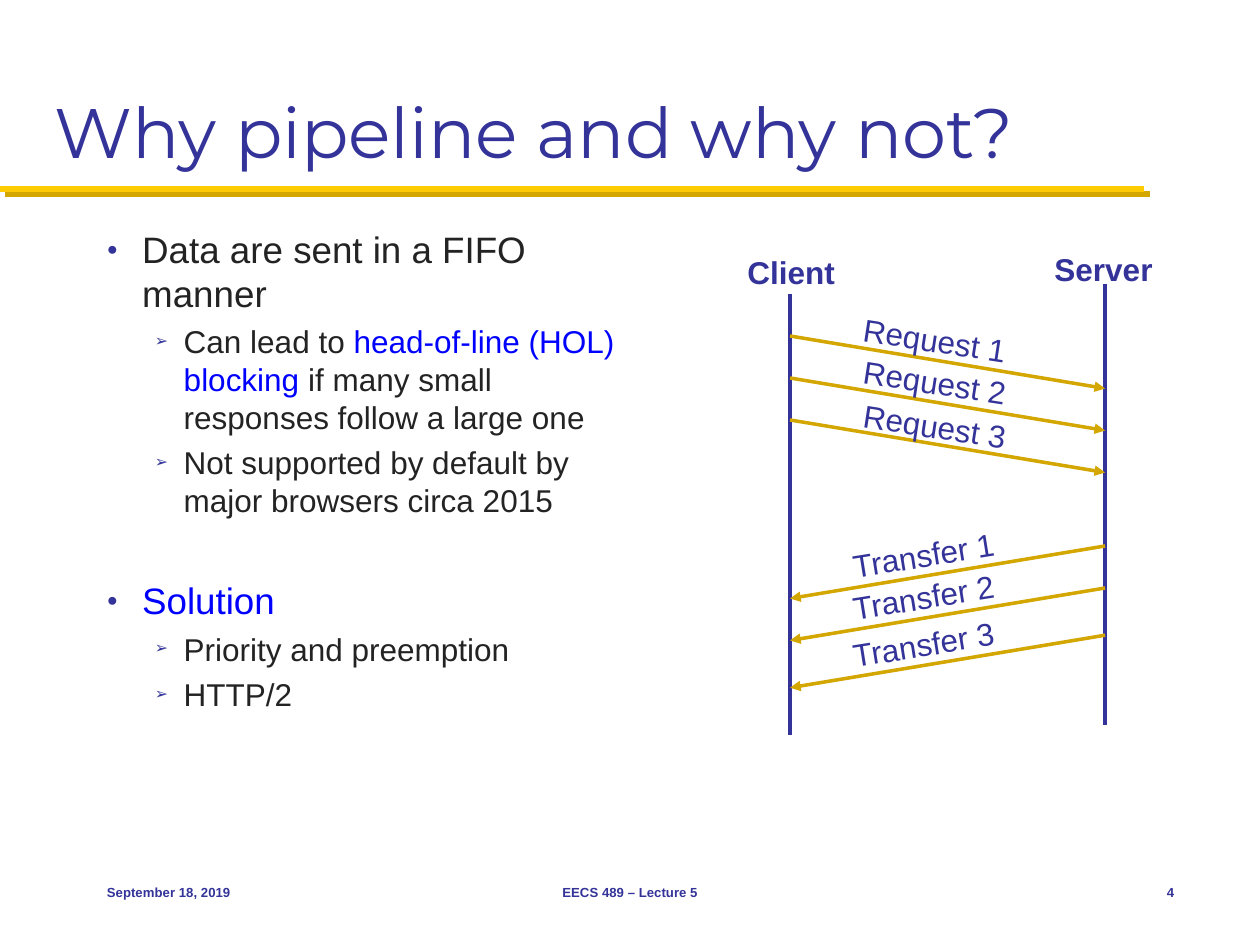
import pptx
import pptx.dml.color
import pptx.enum.shapes
import pptx.enum.text
import pptx.oxml
import pptx.oxml.ns
import pptx.util
from lxml import etree

NAVY, GOLD, YELLOW, INK, BLUE = "333399", "D3A600", "FFCB05", "232323", "0000FF"
ALIGN = pptx.enum.text.PP_ALIGN
ANCHOR = pptx.enum.text.MSO_ANCHOR


def colour(value):
    return pptx.dml.color.RGBColor.from_string(value)


def grid(cells):
    """Length of a number of grid cells, twelve to the inch."""
    return pptx.util.Inches(cells / 12)


def add_span(para, text, size=18, color=NAVY, font="Arial", bold=False):
    span = para.add_run()
    span.text = text
    span.font.size = pptx.util.Pt(size)
    span.font.name = font
    span.font.bold = bold
    span.font.color.rgb = colour(color)


def add_child(parent, tag, **attributes):
    return etree.SubElement(parent, pptx.oxml.ns.qn(tag), **attributes)


class Painter:
    def __init__(self, deck):
        self.page = deck.slides.add_slide(deck.slide_layouts[5])

    def title(self, text, left, top, width, height):
        box = self.page.shapes.title
        box.left, box.top = grid(left), grid(top)
        box.width, box.height = grid(width), grid(height)
        frame = box.text_frame
        frame.auto_size = pptx.enum.text.MSO_AUTO_SIZE.NONE
        frame.vertical_anchor = ANCHOR.BOTTOM
        frame.paragraphs[0].alignment = ALIGN.LEFT
        add_span(frame.paragraphs[0], text, size=40, font="Montserrat")

    def text_box(self, left, top, width, height, wrap=True):
        box = self.page.shapes.add_textbox(grid(left), grid(top), grid(width), grid(height))
        box.text_frame.word_wrap = wrap
        return box

    def label(self, text, left, top, width, angle=0, bold=False):
        box = self.text_box(left, top, width, 4.92, wrap=False)
        box.rotation = angle
        add_span(box.text_frame.paragraphs[0], text, bold=bold)

    def footer(self, text, left, width, align):
        frame = self.text_box(left, 82, width, 6).text_frame
        frame.vertical_anchor = ANCHOR.MIDDLE
        frame.paragraphs[0].alignment = align
        add_span(frame.paragraphs[0], text, size=7.5, bold=True)

    def bullets(self, items, left, top, width, height):
        frame = self.text_box(left, top, width, height).text_frame
        for number, (level, before, spans) in enumerate(items):
            para = frame.add_paragraph() if number else frame.paragraphs[0]
            para.level = level
            margin, hanging, mark, size = [(0.28, 0.28, "●", 21), (0.61, 0.23, "➢", 18)][level]
            props = para._p.get_or_add_pPr()
            props.set("marL", str(pptx.util.Inches(margin)))
            props.set("indent", str(-pptx.util.Inches(hanging)))
            add_child(add_child(props, "a:buClr"), "a:srgbClr", val=NAVY)
            add_child(props, "a:buSzPct", val="50000")
            add_child(props, "a:buFont", typeface="Arial")
            add_child(props, "a:buChar", char=mark)
            para.space_before = pptx.util.Pt(before)
            for text, color in spans:
                add_span(para, text, size=size, color=color)

    def line(self, start, end, color, width, arrow=False, shadow=None):
        line = self.page.shapes.add_connector(
            pptx.enum.shapes.MSO_CONNECTOR.STRAIGHT, *map(grid, start + end))
        line.line.color.rgb = colour(color)
        line.line.width = pptx.util.Pt(width)
        if arrow:
            add_child(line.line._get_or_add_ln(), "a:tailEnd", type="triangle")
        effects = add_child(line._element.spPr, "a:effectLst")
        if shadow:
            cast = add_child(effects, "a:outerShdw", dist=str(pptx.util.Pt(4.2)),
                             dir="2700000", algn="ctr", rotWithShape="0")
            add_child(cast, "a:srgbClr", val=shadow)


def main():
    deck = pptx.Presentation()
    deck.slide_width, deck.slide_height = grid(120), grid(90)
    painter = Painter(deck)

    # Title and rule
    painter.line((0, 18), (109, 18), YELLOW, 3.5, shadow=GOLD)
    painter.title("Why pipeline and why not?", 4, 2, 112, 15)

    # Bullets: level, points before, spans
    painter.bullets([
        (0, 0, [("Data are sent in a FIFO manner", INK)]),
        (1, 4.2, [("Can lead to ", INK), ("head-of-line (HOL) blocking", BLUE),
                  (" if many small responses follow a large one", INK)]),
        (1, 4.2, [("Not supported by default by major browsers circa 2015", INK)]),
        (0, 34, [("Solution", BLUE)]),
        (1, 4.2, [("Priority and preemption", INK)]),
        (1, 4.2, [("HTTP/2", INK)]),
    ], 9, 21, 51, 58)

    # Timelines of the two hosts
    client, server = 75.25, 105.25
    painter.line((client, 28), (client, 70), NAVY, 2)
    painter.line((server, 27), (server, 69), NAVY, 2)
    painter.label("Client", 70, 23.5, 11, bold=True)
    painter.label("Server", 99.25, 23.25, 12, bold=True)

    # Messages: name, ends, label left, width and angle, (arrow top, label top)
    messages = [
        ("Request", client, server, 81, 16.4, 8.7, [(32, 30), (36, 34), (40, 38.2)]),
        ("Transfer", server, client, 80, 16.3, 350.9, [(52, 50.4), (56, 54.4), (60.5, 58.9)]),
    ]
    for name, start, end, left, width, angle, rows in messages:
        for number, (top, label_top) in enumerate(rows, 1):
            painter.line((start, top), (end, top + 5), GOLD, 2, arrow=True)
            painter.label(f"{name} {number}", left, label_top, width, angle)

    # Footer
    painter.footer("September 18, 2019", 9, 25, ALIGN.LEFT)
    painter.footer("EECS 489 – Lecture 5", 41, 38, ALIGN.CENTER)
    painter.footer("4", 105, 8, ALIGN.RIGHT)

    deck.save("out.pptx")


if __name__ == "__main__":
    main()
